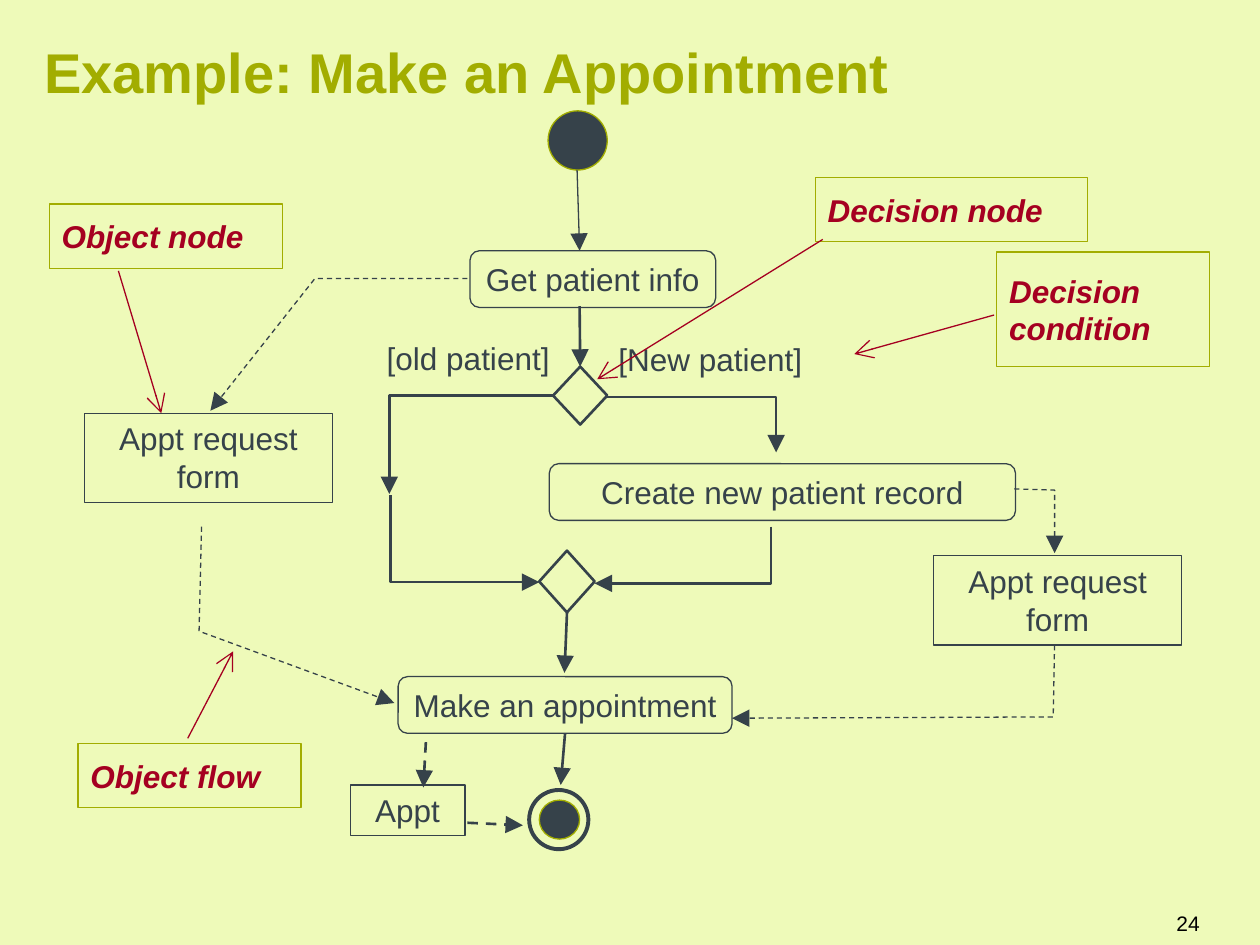
"""Build the activity diagram slide for making an appointment."""
from dataclasses import dataclass
from typing import Optional

import pptx
import pptx.dml.color
import pptx.enum.dml
import pptx.enum.shapes
import pptx.enum.text
import pptx.oxml
import pptx.oxml.ns
import pptx.util

COLS, ROWS = 100, 75
SLATE, OLIVE, RED, LIME, BLACK = "36424A", "A2AD00", "A50021", "EEFAB9", "000000"
KIND = pptx.enum.shapes.MSO_SHAPE
ALIGN = pptx.enum.text.PP_ALIGN
ANCHOR = pptx.enum.text.MSO_ANCHOR

prs = pptx.Presentation()
prs.slide_width, prs.slide_height = pptx.util.Inches(10), pptx.util.Inches(7.5)
s = prs.slides.add_slide(prs.slide_layouts[6])


@dataclass
class Label:
    text: str
    color: str = SLATE
    size: int = 18
    bold: bool = False
    italic: bool = False
    align: ALIGN = ALIGN.CENTER
    anchor: ANCHOR = ANCHOR.MIDDLE
    wrap: bool = True
    left_inset: float = 0.1


@dataclass
class Node:
    key: str
    kind: KIND
    box: tuple
    label: Optional[Label] = None
    line: str = SLATE
    width: float = 0.75
    fill: Optional[str] = None


@dataclass
class Arrow:
    start: tuple
    end: tuple
    color: str = SLATE
    width: float = 1.5
    dashed: bool = False
    head: str = "triangle"
    source: Optional[tuple] = None
    target: Optional[tuple] = None


@dataclass
class Flow:
    points: list
    width: float = 1.5
    dashed: bool = False


def rgb(value: str) -> pptx.dml.color.RGBColor:
    """Turn a hex string into a colour."""
    return pptx.dml.color.RGBColor.from_string(value)


def x(col: float) -> int:
    """Give the horizontal length of a number of columns."""
    return round(prs.slide_width * col / COLS)


def y(row: float) -> int:
    """Give the vertical length of a number of rows."""
    return round(prs.slide_height * row / ROWS)


def place(box: tuple) -> tuple:
    """Turn a grid box into left, top, width and height."""
    left, top, width, height = box
    return x(left), y(top), x(width), y(height)


def paint(sp, fill: Optional[str]) -> None:
    """Fill a shape, or leave it clear when no colour is given."""
    if fill:
        sp.fill.solid()
        sp.fill.fore_color.rgb = rgb(fill)
    else:
        sp.fill.background()


def write(sp, label: Label) -> None:
    """Write a label into a shape."""
    tf = sp.text_frame
    tf.word_wrap = label.wrap
    tf.vertical_anchor = label.anchor
    tf.margin_left = pptx.util.Inches(label.left_inset)
    p = tf.paragraphs[0]
    p.alignment = label.align
    r = p.add_run()
    r.text = label.text
    r.font.name, r.font.size = "Arial", pptx.util.Pt(label.size)
    r.font.bold, r.font.italic = label.bold, label.italic
    r.font.color.rgb = rgb(label.color)


def add_text(box: tuple, label: Label, fill: Optional[str] = None) -> None:
    """Add a text box."""
    sp = s.shapes.add_textbox(*place(box))
    paint(sp, fill)
    write(sp, label)


def add_node(node: Node):
    """Add a preset shape with its label."""
    sp = s.shapes.add_shape(node.kind, *place(node.box))
    sp.shadow.inherit = False
    paint(sp, node.fill)
    sp.line.color.rgb = rgb(node.line)
    sp.line.width = pptx.util.Pt(node.width)
    if node.label:
        write(sp, node.label)
    return sp


def style_line(line, color: str, width: float, dashed: bool, head: str) -> None:
    """Set the stroke and large end arrowhead of a line."""
    line.color.rgb = rgb(color)
    line.width = pptx.util.Pt(width)
    if dashed:
        line.dash_style = pptx.enum.dml.MSO_LINE.DASH
    ns = pptx.oxml.ns.nsdecls("a")
    end = pptx.oxml.parse_xml(f'<a:tailEnd {ns} type="{head}" w="lg" len="lg"/>')
    line._get_or_add_ln().append(end)


def add_arrow(arrow: Arrow, nodes: dict) -> None:
    """Add a straight arrow, joined to nodes where it meets them."""
    (x1, y1), (x2, y2) = arrow.start, arrow.end
    straight = pptx.enum.shapes.MSO_CONNECTOR.STRAIGHT
    sp = s.shapes.add_connector(straight, x(x1), y(y1), x(x2), y(y2))
    if arrow.source:
        sp.begin_connect(nodes[arrow.source[0]], arrow.source[1])
    if arrow.target:
        sp.end_connect(nodes[arrow.target[0]], arrow.target[1])
    style_line(sp.line, arrow.color, arrow.width, arrow.dashed, arrow.head)
    effects = pptx.oxml.parse_xml(f'<a:effectLst {pptx.oxml.ns.nsdecls("a")}/>')
    sp._element.spPr.append(effects)


def add_flow(flow: Flow) -> None:
    """Add a bent arrow through the given points."""
    points = [(x(col), y(row)) for col, row in flow.points]
    builder = s.shapes.build_freeform(*points[0])
    builder.add_line_segments(points[1:], close=False)
    sp = builder.convert_to_shape()
    paint(sp, None)
    sp.shadow.inherit = False
    style_line(sp.line, SLATE, flow.width, flow.dashed, "triangle")


def action(text: str, box: tuple, wrap: bool = False) -> Node:
    """Describe an action node."""
    return Node(text, KIND.ROUNDED_RECTANGLE, box, Label(text, wrap=wrap))


def form(key: str, text: str, box: tuple) -> Node:
    """Describe an object node."""
    return Node(key, KIND.RECTANGLE, box, Label(text, anchor=ANCHOR.TOP))


def callout(text: str, box: tuple) -> Node:
    """Describe an explanatory callout."""
    label = Label(text, RED, bold=True, italic=True, align=ALIGN.LEFT)
    return Node(text, KIND.RECTANGLE, box, label, OLIVE)


def pointer(start: tuple, end: tuple) -> Arrow:
    """Describe the arrow that leads from a callout."""
    return Arrow(start, end, RED, 0.75, head="arrow")


NODES = [
    Node("Start", KIND.OVAL, (43.5, 8.8, 4.7, 4.7), line=OLIVE, fill=SLATE),
    action("Get patient info", (37.3, 19.9, 19.5, 4.5)),
    Node("Decision", KIND.DIAMOND, (43.9, 29.1, 4.3, 4.6), width=1.5),
    action("Create new patient record", (43.6, 36.8, 37, 4.5), wrap=True),
    Node("Merge", KIND.DIAMOND, (42.8, 43.7, 4.4, 4.9), width=1.5),
    action("Make an appointment", (31.6, 53.7, 26.5, 4.5)),
    form("Left form", "Appt request form", (6.7, 32.8, 19.7, 7.1)),
    form("Right form", "Appt request form", (74.1, 44.1, 19.7, 7.1)),
    form("Appt", "Appt", (27.8, 62.3, 9.1, 4)),
    Node("Final ring", KIND.OVAL, (42, 62.7, 4.7, 4.7), width=2.25),
    Node("Final dot", KIND.OVAL, (42.8, 63.5, 3.2, 3.1), line=OLIVE, fill=SLATE),
    callout("Decision node", (64.7, 14.1, 21.6, 5.1)),
    callout("Decision condition", (79.1, 20, 16.9, 9.1)),
    callout("Object node", (3.9, 16.2, 18.5, 5.1)),
    callout("Object flow", (6.2, 59, 17.7, 5.1)),
]
FLOWS = [
    Flow([(48.2, 31.5), (61.6, 31.5), (61.6, 35.9)]),
    Flow([(43.9, 31.4), (30.9, 31.4), (30.9, 39.2)]),
    Flow([(61.2, 41.8), (61.2, 46.3), (47.2, 46.3)]),
    Flow([(31, 39.3), (31, 46.2), (42.8, 46.2)]),
    Flow([(37.1, 22.1), (25, 22.1), (16.7, 32.6)], 0.75, True),
    Flow([(16, 41.8), (15.8, 50.1), (31.3, 55.8)], 0.75, True),
    Flow([(80.5, 38.8), (83.7, 38.9), (83.7, 43.9)], 0.75, True),
    Flow([(83.7, 51.2), (83.6, 56.9), (58.1, 57)], 0.75, True),
]
ARROWS = [
    Arrow((45.8, 13.5), (46, 19.9), width=0.75),
    Arrow((46, 24.3), (46.1, 29.1), target=("Decision", 0)),
    Arrow((45, 48.4), (44.8, 53.4), source=("Merge", 2)),
    Arrow((44.8, 58.1), (44.5, 62.3), source=("Make an appointment", 2)),
    Arrow((33.8, 58.9), (33.6, 62.5), dashed=True),
    Arrow((37.1, 65.3), (41.5, 65.5), dashed=True),
    pointer((65.3, 19), (47.4, 30.1)),
    pointer((78.9, 25), (67.8, 28.1)),
    pointer((9.4, 21.5), (12.8, 32.8)),
    pointer((14.9, 58.6), (18.5, 51.7)),
]
TITLE = Label("Example: Make an Appointment", OLIVE, 32, True, align=ALIGN.LEFT, left_inset=0)
TEXTS = [
    ((48.1, 26.5, 22.6, 5), Label("[New patient]", align=ALIGN.LEFT, anchor=ANCHOR.TOP)),
    ((24.8, 26.4, 19.8, 5), Label("[old patient]", align=ALIGN.RIGHT, anchor=ANCHOR.TOP)),
    ((80.7, 71.3, 15.5, 4), Label("24", BLACK, 12, align=ALIGN.RIGHT)),
]


def main() -> None:
    """Draw the diagram and save it."""
    s.background.fill.solid()
    s.background.fill.fore_color.rgb = rgb(LIME)
    add_text((3.5, 2.1, 94.9, 7.1), TITLE, LIME)
    for box, label in TEXTS:
        add_text(box, label)
    nodes = {node.key: add_node(node) for node in NODES}
    for flow in FLOWS:
        add_flow(flow)
    for arrow in ARROWS:
        add_arrow(arrow, nodes)
    prs.save("out.pptx")


if __name__ == "__main__":
    main()
